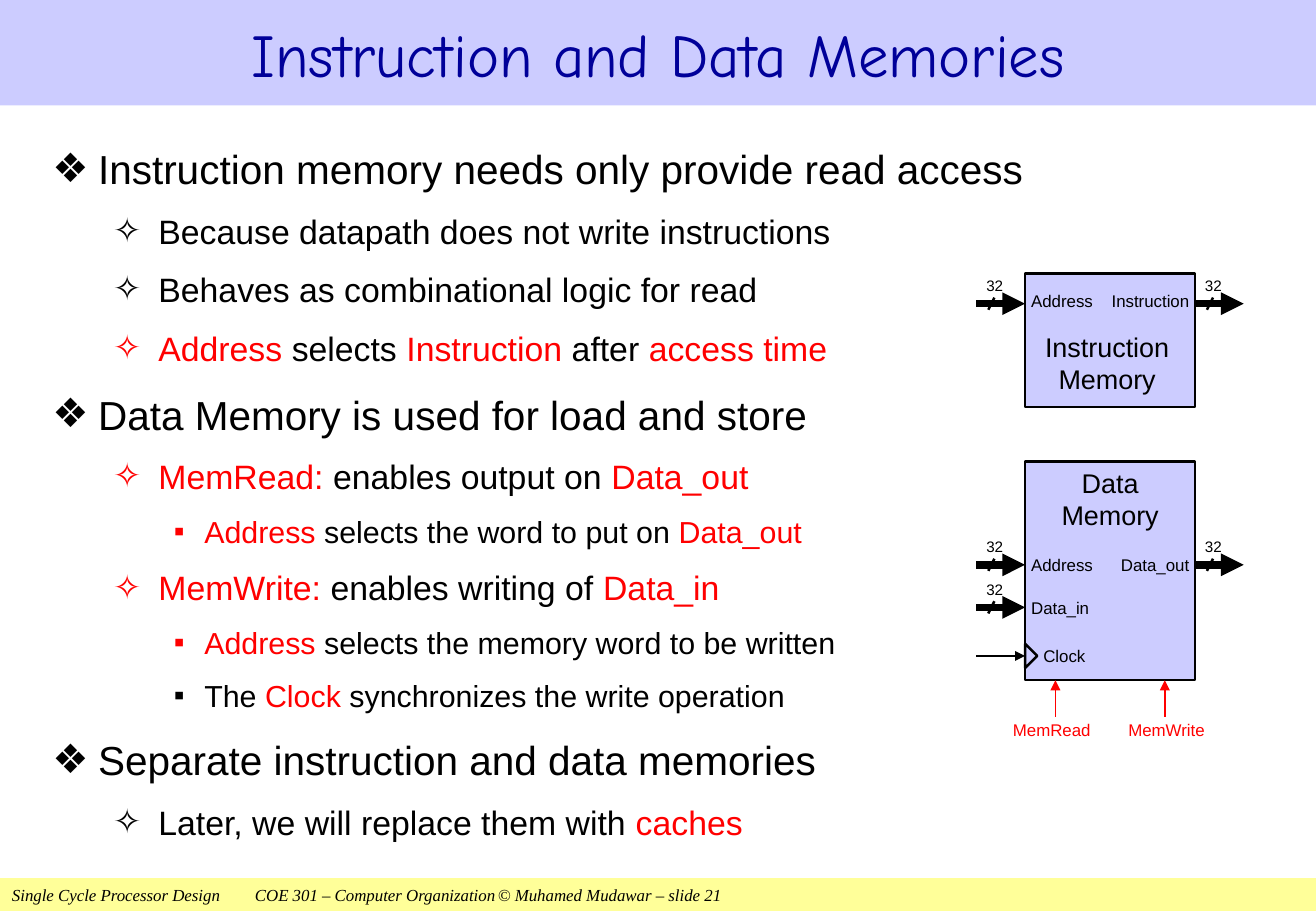
from lxml import etree
from pptx import Presentation
from pptx.dml.color import RGBColor
from pptx.enum.shapes import MSO_CONNECTOR, MSO_SHAPE
from pptx.enum.text import MSO_ANCHOR, PP_ALIGN
from pptx.oxml.ns import qn
from pptx.util import Pt

LEFT, CENTER, RIGHT = PP_ALIGN.LEFT, PP_ALIGN.CENTER, PP_ALIGN.RIGHT
TOP, MIDDLE = MSO_ANCHOR.TOP, MSO_ANCHOR.MIDDLE
RECTANGLE, TRIANGLE = MSO_SHAPE.RECTANGLE, MSO_SHAPE.ISOSCELES_TRIANGLE
STRAIGHT = MSO_CONNECTOR.STRAIGHT

COLORS = {"black": "000000", "red": "FF0000", "lavender": "CCCCFF",
          "navy": "000099", "yellow": "FFFF99"}

LEVELS = [
    {"bullet": "❖", "size": 24, "margin": 27, "hang": 27, "before": 10},
    {"bullet": "✧", "size": 20, "margin": 62.8, "hang": 26.8, "before": 8.2},
    {"bullet": "▪", "size": 18, "margin": 90, "hang": 18, "before": 7.5},
]

OUTLINE = [
    (0, "Instruction memory needs only provide read access"),
    (1, "Because datapath does not write instructions"),
    (1, "Behaves as combinational logic for read"),
    (1, "*Address* selects *Instruction* after *access time*"),
    (0, "Data Memory is used for load and store"),
    (1, "*MemRead:* enables output on *Data_out*"),
    (2, "*Address* selects the word to put on *Data_out*"),
    (1, "*MemWrite:* enables writing of *Data_in*"),
    (2, "*Address* selects the memory word to be written"),
    (2, "The *Clock* synchronizes the write operation"),
    (0, "Separate instruction and data memories"),
    (1, "Later, we will replace them with *caches*"),
]

BUS_LENGTH = 28.8


def rgb(name):
    return RGBColor.from_string(COLORS[name])


def style(font, size, color, name="Arial"):
    font.name = name
    font.size = Pt(size)
    font.color.rgb = rgb(color)


def add_block(slide, kind, left, top, width, height, fill, line=None):
    block = slide.shapes.add_shape(kind, Pt(left), Pt(top), Pt(width), Pt(height))
    block.shadow.inherit = False
    block.fill.solid()
    block.fill.fore_color.rgb = rgb(fill)
    if line:
        block.line.color.rgb = rgb("black")
        block.line.width = Pt(line)
    else:
        block.line.fill.background()
    return block


def add_label(slide, left, top, width, height, lines, size=10, color="black", align=LEFT):
    label = slide.shapes.add_textbox(Pt(left), Pt(top), Pt(width), Pt(height))
    frame = label.text_frame
    frame.word_wrap = True
    frame.vertical_anchor = MIDDLE
    frame.margin_left = frame.margin_right = frame.margin_top = frame.margin_bottom = 0
    for index, text in enumerate(lines):
        paragraph = frame.paragraphs[0] if index == 0 else frame.add_paragraph()
        paragraph.text = text
        paragraph.alignment = align
        style(paragraph.font, size, color)


def add_line(slide, x1, y1, x2, y2, width, color="black", arrow=False):
    wire = slide.shapes.add_connector(STRAIGHT, Pt(x1), Pt(y1), Pt(x2), Pt(y2))
    wire.line.color.rgb = rgb(color)
    wire.line.width = Pt(width)
    if arrow:
        etree.SubElement(wire.line._get_or_add_ln(), qn("a:tailEnd"), type="triangle")
    etree.SubElement(wire._element.spPr, qn("a:effectLst"))


def add_band(slide, left, top, width, height, fill, text, size, color, font_name):
    band = add_block(slide, RECTANGLE, left, top, width, height, fill)
    frame = band.text_frame
    frame.word_wrap = True
    frame.vertical_anchor = MIDDLE
    paragraph = frame.paragraphs[0]
    paragraph.text = text
    style(paragraph.font, size, color, font_name)
    return paragraph


def add_title(slide, left, top, width, height):
    title = add_band(slide, left, top, width, height, "lavender",
                     "Instruction and Data Memories", 36, "navy", "Comic Neue")
    title.alignment = CENTER


def add_footer(slide, left, top, width, height):
    footer = add_band(slide, left, top, width, height, "yellow",
                      "Single Cycle Processor Design\tCOE 301 – Computer Organization"
                      "\t© Muhamed Mudawar – slide 21", 10, "black", "Times New Roman")
    footer.alignment = LEFT
    properties = footer._p.get_or_add_pPr()
    tabs = etree.Element(qn("a:tabLst"))
    for position in (144, 288):
        etree.SubElement(tabs, qn("a:tab"), pos=str(Pt(position)), algn="l")
    properties.insert(0, tabs)
    footer.font.italic = True


def add_outline(slide, left, top, width, height):
    body = slide.shapes.add_textbox(Pt(left), Pt(top), Pt(width), Pt(height))
    frame = body.text_frame
    frame.word_wrap = True
    frame.vertical_anchor = TOP
    for index, (depth, text) in enumerate(OUTLINE):
        level = LEVELS[depth]
        paragraph = frame.paragraphs[0] if index == 0 else frame.add_paragraph()
        paragraph.level = depth
        paragraph.line_spacing = 1.1
        paragraph.space_before = Pt(level["before"] if index else 0)
        properties = paragraph._p.get_or_add_pPr()
        properties.set("marL", str(Pt(level["margin"])))
        properties.set("indent", str(-Pt(level["hang"])))
        etree.SubElement(properties, qn("a:buFont"), typeface="Arial")
        etree.SubElement(properties, qn("a:buChar"), char=level["bullet"])
        paragraph.font.name = "Arial"
        paragraph.font.size = Pt(level["size"])
        for part, words in enumerate(text.split("*")):
            if words:
                run = paragraph.add_run()
                run.text = words
                run.font.color.rgb = rgb("red" if part % 2 else "black")


def add_bus(slide, left, y):
    add_line(slide, left, y, left + BUS_LENGTH, y, 4.5, arrow=True)
    add_line(slide, left + 10.6, y - 3.6, left + 7, y + 3.6, 1.5)
    add_label(slide, left + 3.6, y - 18, 14.4, 14.4, ["32"], 9, align=CENTER)


def add_memory(slide, left, top, width, height, caption, caption_middle, caption_width,
               inputs, output, label_shift=0):
    add_block(slide, RECTANGLE, left, top, width, height, "lavender", 1.5)
    add_label(slide, left, top + caption_middle - 20, caption_width, 40, caption, 16,
              align=CENTER)
    for name, y in inputs:
        add_bus(slide, left - BUS_LENGTH, top + y)
        add_label(slide, left + 3.6, top + y + label_shift - 9, 50, 18, [name])
    name, y = output
    add_bus(slide, left + width, top + y)
    add_label(slide, left + width - 63.6, top + y + label_shift - 9, 60, 18, [name],
              align=RIGHT)


def add_controls(slide, left, top, width, height):
    clock_y = top + height - 14.4
    add_line(slide, left - BUS_LENGTH, clock_y, left, clock_y, 1, arrow=True)
    edge = add_block(slide, TRIANGLE, left - 3.6, clock_y - 3.6, 14.4, 7.2, "lavender", 1.5)
    edge.rotation = 90
    add_label(slide, left + 10.8, clock_y - 10.8, 30, 21.6, ["Clock"])
    bottom = top + height
    for name, x, label_x in (("MemRead", 18, -7.2), ("MemWrite", 82.8, 61.2)):
        add_line(slide, left + x, bottom + 21.6, left + x, bottom, 1, "red", True)
        add_label(slide, left + label_x, bottom + 21.6, 52, 15, [name], color="red")


def main():
    deck = Presentation()
    deck.slide_width, deck.slide_height = Pt(780), Pt(540)
    slide = deck.slides.add_slide(deck.slide_layouts[6])
    add_footer(slide, 0, 520.6, 780, 19.4)
    add_title(slide, 0, 0, 780, 62.6)
    add_outline(slide, 24, 79.2, 733, 432)
    add_memory(slide, 607.6, 162, 100.8, 79.2, ["Instruction", "Memory"], 53, 97.2,
               [("Address", 18)], ("Instruction", 18), -1.8)
    data_box = (607.6, 273.6, 100.8, 129.6)
    add_memory(slide, *data_box, ["Data", "Memory"], 22, 100.8,
               [("Address", 61.2), ("Data_in", 86.4)], ("Data_out", 61.2))
    add_controls(slide, *data_box)
    deck.save("out.pptx")


if __name__ == "__main__":
    main()
